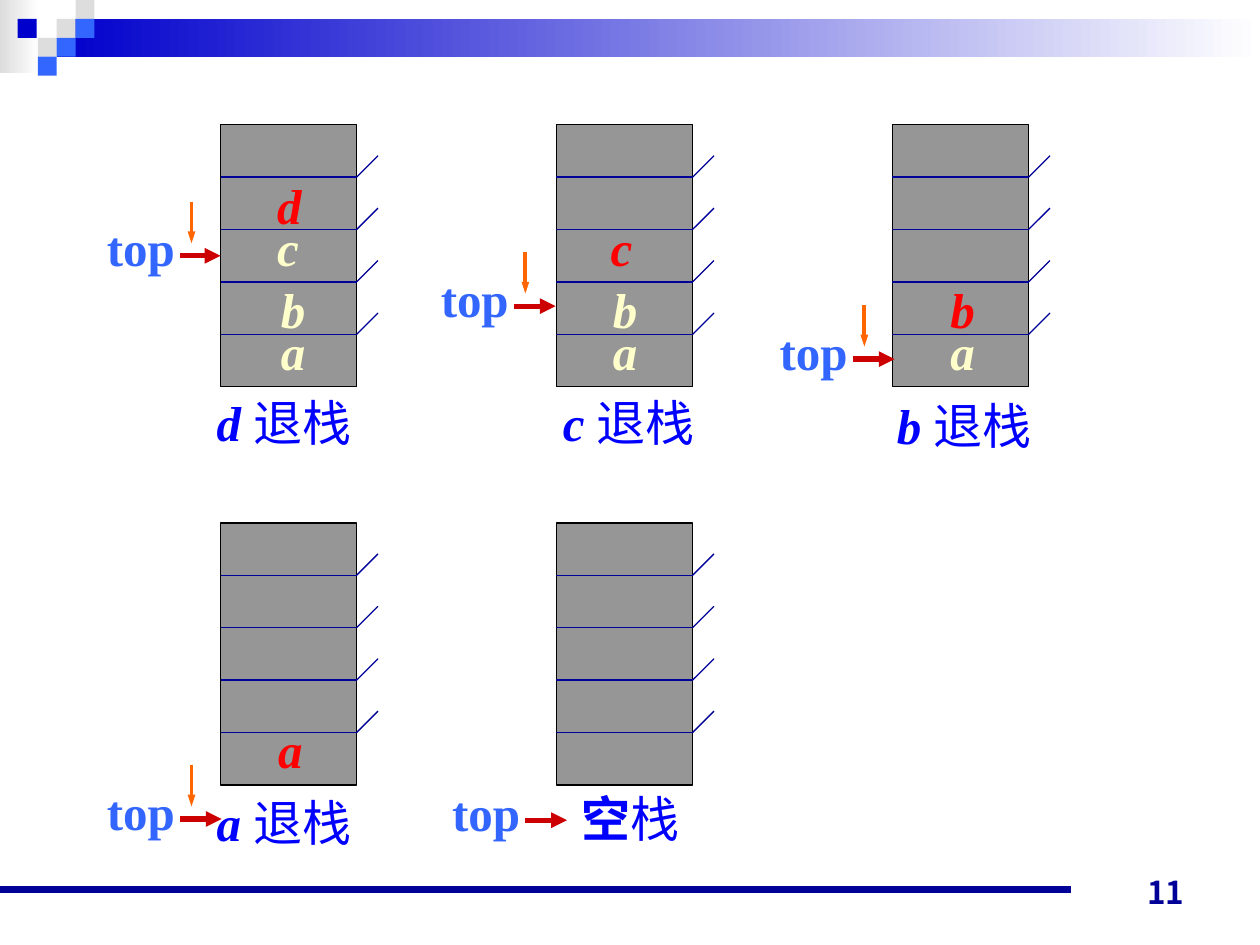
import pptx
import pptx.dml.color
import pptx.enum.shapes
import pptx.enum.text
import pptx.oxml.ns
import pptx.util
from lxml import etree
from pptx.util import Inches

COLORS = {
    "navy": "000099", "royal": "0000CC", "sky": "3366FF", "mist": "DDDDDD",
    "white": "FFFFFF", "cell": "969696", "black": "000000", "caption": "0000FF",
    "stored": "FFFFCC", "popped": "FF0000", "pointer": "CC0000", "move": "FF6600",
}
SERIF = "Times New Roman"
SANS = "Noto Sans CJK JP"

HEADER_BANDS = [
    ((0, 0, 0.31, 0.58), "mist"),
    ((0.45, 0.15, 9.55, 0.3), "royal"),
]
HEADER_SQUARES = [
    (0.45, 0.15, "mist"), (0.6, 0, "mist"), (0.6, 0.15, "sky"), (0.3, 0.3, "mist"),
    (0.14, 0.15, "royal"), (0.45, 0.3, "sky"), (0.3, 0.45, "sky"),
]
SQUARE = 0.15

STACK_WIDTH, STACK_HEIGHT, CELLS = 1.08, 2.08, 5
COLUMN_PITCH = 8 / 3
FIRST_COLUMN = 1.75
ROW_TOPS = [0.99, 4.15]
TICK = 0.17
LETTER_TOPS = {"a": 1.51, "b": 1.18, "c": 0.69, "d": 0.35}

STACKS = [
    {"column": 0, "row": 0, "letters": [("a", 0.38), ("b", 0.38), ("c", 0.35), ("d", 0.35)],
     "caption": ("d ", "退栈"), "caption_at": (1.62, 3.07, 1.42),
     "top_at": (0.75, 2.03), "moves": True, "joined": True},
    {"column": 1, "row": 0, "letters": [("a", 0.35), ("b", 0.35), ("c", 0.33)],
     "caption": ("c ", "退栈"), "caption_at": (4.37, 3.07, 1.4),
     "top_at": (3.4, 2.43), "moves": True, "joined": False},
    {"column": 2, "row": 0, "letters": [("a", 0.36), ("b", 0.36)],
     "caption": ("b ", "退栈"), "caption_at": (7.02, 3.09, 1.42),
     "top_at": (6.09, 2.85), "moves": True, "joined": False},
    {"column": 0, "row": 1, "letters": [("a", 0.36)],
     "caption": ("a ", "退栈"), "caption_at": (1.62, 6.24, 1.42),
     "top_at": (0.75, 6.5), "moves": True, "joined": False},
    {"column": 1, "row": 1, "letters": [],
     "caption": ("空", "栈"), "caption_at": (4.52, 6.21, 1.03),
     "top_at": (3.49, 6.51), "moves": False, "joined": False},
]


def rgb(name):
    return pptx.dml.color.RGBColor.from_string(COLORS[name])


def add_rectangle(slide, at, fill, outline=None, fade=False):
    rectangle = slide.shapes.add_shape(
        pptx.enum.shapes.MSO_SHAPE.RECTANGLE, *map(Inches, at))
    rectangle.shadow.inherit = False
    if fade:
        rectangle.fill.gradient()
        rectangle.fill.gradient_angle = 0
        for stop, name in zip(rectangle.fill.gradient_stops, (fill, "white")):
            stop.color.rgb = rgb(name)
    else:
        rectangle.fill.solid()
        rectangle.fill.fore_color.rgb = rgb(fill)
    if outline:
        rectangle.line.color.rgb = rgb(outline)
        rectangle.line.width = pptx.util.Pt(0.75)
    else:
        rectangle.line.fill.background()
    return rectangle


def add_line(slide, start, end, color, width, head_width=None):
    line = slide.shapes.add_connector(
        pptx.enum.shapes.MSO_CONNECTOR.STRAIGHT, *map(Inches, start + end))
    line.line.color.rgb = rgb(color)
    line.line.width = pptx.util.Pt(width)
    properties = line._element.spPr
    etree.SubElement(properties, pptx.oxml.ns.qn("a:effectLst"))
    if head_width:
        etree.SubElement(line.line._get_or_add_ln(), pptx.oxml.ns.qn("a:tailEnd"),
                         type="triangle", w=head_width, len="med")
    return line


def add_text(slide, at, runs, frame_format, **paragraph_format):
    box = slide.shapes.add_textbox(*map(Inches, at))
    frame = box.text_frame
    for name, value in frame_format.items():
        setattr(frame, name, value)
    paragraph = frame.paragraphs[0]
    for name, value in paragraph_format.items():
        setattr(paragraph, name, value)
    for text, color, values in runs:
        run = paragraph.add_run()
        run.text = text
        run.font.color.rgb = rgb(color)
        for name, value in ({"name": SERIF, "size": pptx.util.Pt(28)} | values).items():
            setattr(run.font, name, value)


LABEL_FRAME = {
    "word_wrap": False,
    "auto_size": pptx.enum.text.MSO_AUTO_SIZE.SHAPE_TO_FIT_TEXT,
}
PAGE_FRAME = {
    "word_wrap": True,
    "vertical_anchor": pptx.enum.text.MSO_ANCHOR.BOTTOM,
}


def add_stack(slide, left, top):
    stack = add_rectangle(slide, (left, top, STACK_WIDTH, STACK_HEIGHT), "cell", "black")
    right = left + STACK_WIDTH
    for cell in range(1, CELLS):
        y = top + cell * STACK_HEIGHT / CELLS
        add_line(slide, (left, y), (right, y), "navy", 0.75)
        add_line(slide, (right, y), (right + TICK, y - TICK), "navy", 0.75)
    return stack


def add_labels(slide, stack, left, top, details):
    letters = details["letters"]
    for index, (letter, inset) in enumerate(letters):
        color = "popped" if index == len(letters) - 1 else "stored"
        add_text(slide, (left + inset, top + LETTER_TOPS[letter], 0.39, 0.57),
                 [(letter, color, {"bold": True, "italic": True})], LABEL_FRAME)

    subject, action = details["caption"]
    add_text(slide, (*details["caption_at"], 0.57), [
        (subject, "caption", {"bold": True, "italic": bool(letters)}),
        (action, "caption", {"bold": False, "italic": False}),
    ], LABEL_FRAME)

    x, y = details["top_at"]
    add_text(slide, (x, y - 0.35, 0.74, 0.57),
             [("top", "sky", {"bold": True})], LABEL_FRAME)
    pointer = add_line(slide, (x + 0.68, y), (x + 1.01, y), "pointer", 3, "med")
    if details["joined"]:
        pointer.end_connect(stack, 1)
    if details["moves"]:
        add_line(slide, (x + 0.77, y - 0.43), (x + 0.77, y - 0.1), "move", 2.25, "sm")


def main():
    deck = pptx.Presentation()
    deck.slide_width, deck.slide_height = Inches(10), Inches(7.5)
    slide = deck.slides.add_slide(deck.slide_layouts[6])

    for at, color in HEADER_BANDS:
        add_rectangle(slide, at, color, fade=True)
    for x, y, color in HEADER_SQUARES:
        add_rectangle(slide, (x, y, SQUARE, SQUARE), color)
    add_line(slide, (0, 7.06), (8.5, 7.06), "navy", 4.5)
    add_text(
        slide, (7.17, 6.78, 2.33, 0.5),
        [("11", "navy", {"name": SANS, "size": pptx.util.Pt(18), "bold": True})],
        PAGE_FRAME, alignment=pptx.enum.text.PP_ALIGN.RIGHT)

    placed = []
    for details in STACKS:
        left = FIRST_COLUMN + details["column"] * COLUMN_PITCH
        top = ROW_TOPS[details["row"]]
        placed.append((add_stack(slide, left, top), left, top, details))
    for stack, left, top, details in placed:
        add_labels(slide, stack, left, top, details)

    deck.save("out.pptx")


if __name__ == "__main__":
    main()
